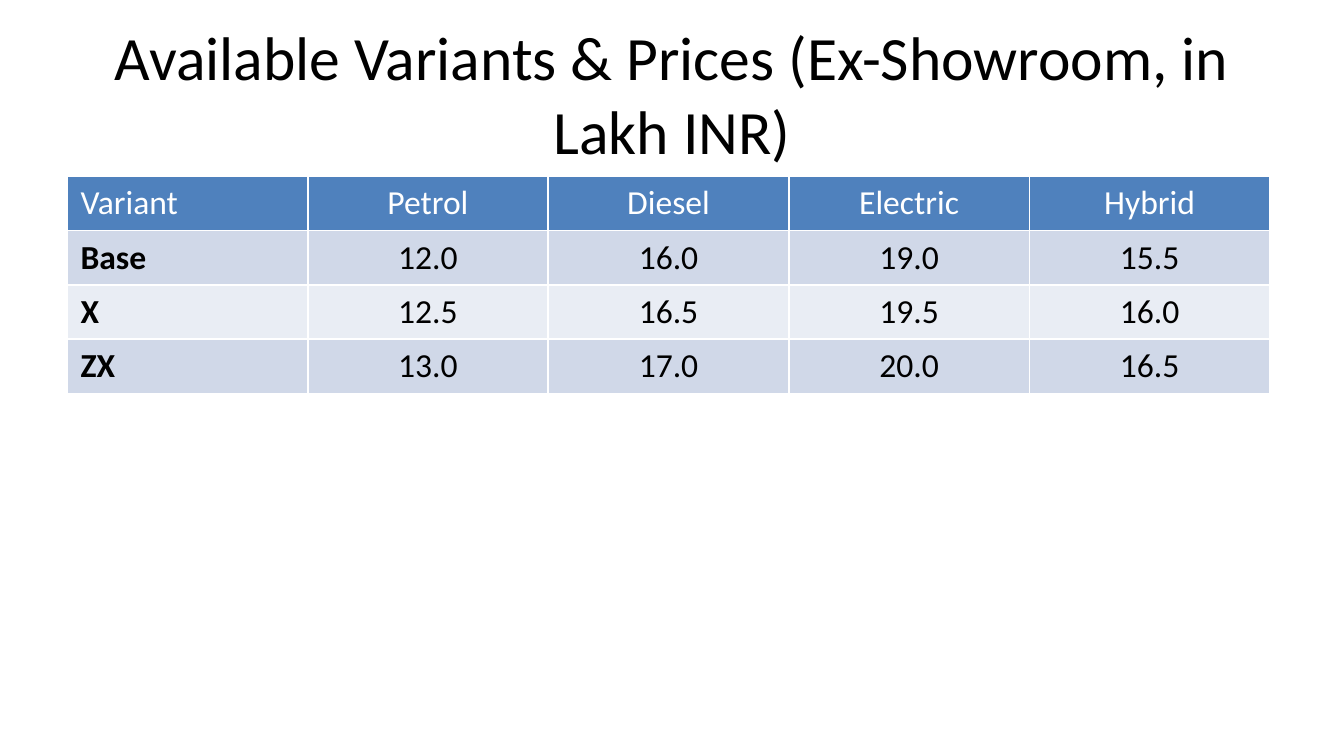
from lxml import etree
from pptx import Presentation
from pptx.dml.color import RGBColor
from pptx.enum.text import MSO_ANCHOR, PP_ALIGN
from pptx.oxml.ns import qn
from pptx.util import Inches, Pt

LEFT, CENTER = PP_ALIGN.LEFT, PP_ALIGN.CENTER
MIDDLE = MSO_ANCHOR.MIDDLE


def color(code):
    return RGBColor.from_string(code)


def style(par, size, code, align, bold=False):
    par.alignment = align
    for run in par.runs:
        run.font.name = "Calibri"
        run.font.size = Pt(size)
        run.font.bold = bold
        run.font.color.rgb = color(code)


# A 16:9 slide
deck = Presentation()
deck.slide_width = Inches(10)
deck.slide_height = deck.slide_width * 9 // 16
slide = deck.slides.add_slide(deck.slide_layouts[6])
margin = deck.slide_width // 20

# Title
title = slide.shapes.add_textbox(
    margin, Inches(0.22), deck.slide_width - 2 * margin, Inches(0.94))
frame = title.text_frame
frame.word_wrap = True
frame.vertical_anchor = MIDDLE
frame.text = "Available Variants & Prices (Ex-Showroom, in Lakh INR)"
style(frame.paragraphs[0], 33, "000000", CENTER)

# Price table
prices = [
    ["Variant", "Petrol", "Diesel", "Electric", "Hybrid"],
    ["Base", "12.0", "16.0", "19.0", "15.5"],
    ["X", "12.5", "16.5", "19.5", "16.0"],
    ["ZX", "13.0", "17.0", "20.0", "16.5"],
]
rows, cols = len(prices), len(prices[0])
wide, high = Inches(1.79), deck.slide_height * 18 // 250
table = slide.shapes.add_table(
    rows, cols, margin, Inches(1.31), cols * wide, rows * high).table

for r, line in enumerate(prices):
    for c, text in enumerate(line):
        head, first = r == 0, c == 0
        cell = table.cell(r, c)
        cell.text = text
        style(cell.text_frame.paragraphs[0], 18,
              "FFFFFF" if head else "000000",
              LEFT if first else CENTER, first and not head)

        # White cell borders come before the fill
        props = cell._tc.get_or_add_tcPr()
        for side in ("lnL", "lnR", "lnT", "lnB"):
            edge = etree.SubElement(props, qn("a:" + side), w=str(Pt(1)))
            fill = etree.SubElement(edge, qn("a:solidFill"))
            etree.SubElement(fill, qn("a:srgbClr"), val="FFFFFF")
        cell.fill.solid()
        band = "D0D8E8" if r % 2 else "E9EDF4"
        cell.fill.fore_color.rgb = color("4F81BD" if head else band)

deck.save("out.pptx")
